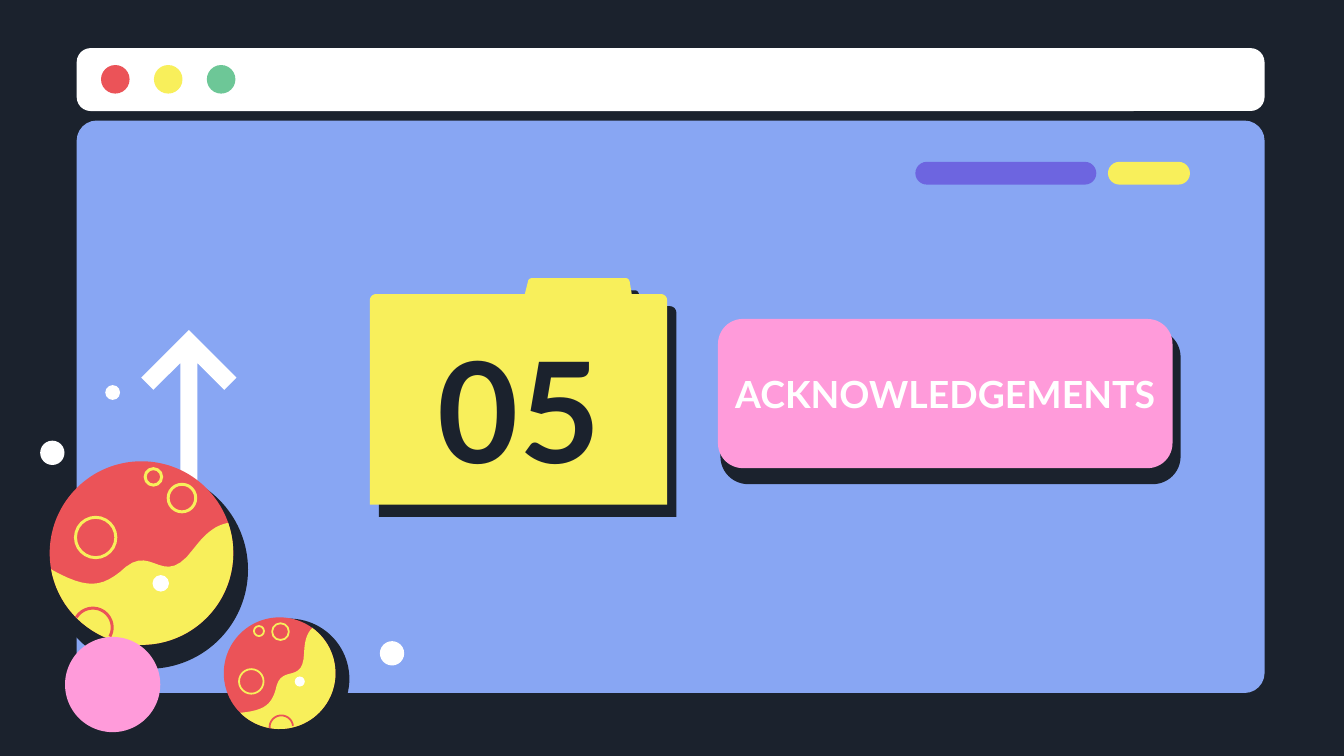
from dataclasses import dataclass
from math import cos, radians, sin

from lxml.etree import SubElement
from pptx import Presentation
from pptx.dml.color import RGBColor
from pptx.enum.shapes import MSO_SHAPE
from pptx.enum.text import MSO_ANCHOR, PP_ALIGN
from pptx.oxml.ns import qn
from pptx.util import Cm, Pt


@dataclass(frozen=True)
class Theme:
    dark: str = "1B222D"
    white: str = "FFFFFF"
    blue: str = "88A6F3"
    red: str = "EB5358"
    yellow: str = "F8EF5B"
    green: str = "6DC797"
    purple: str = "6D65E0"
    pink: str = "FF9BDA"
    font: str = "Lato"
    number: int = 75
    title: int = 20


@dataclass(frozen=True)
class Box:
    """A region in centimetres."""
    x: float
    y: float
    w: float
    h: float

    def inner(self, x, y, w, h):
        return Box(self.x + x, self.y + y, w, h)

    def emu(self):
        return [Cm(v) for v in (self.x, self.y, self.w, self.h)]


THEME = Theme()


def paint(shape, fill=None, line=None, width=1):
    shape.shadow.inherit = False
    if fill:
        shape.fill.solid()
        shape.fill.fore_color.rgb = RGBColor.from_string(fill)
    else:
        shape.fill.background()
    if line:
        shape.line.color.rgb = RGBColor.from_string(line)
        shape.line.width = Pt(width)
    else:
        shape.line.fill.background()
    return shape


def block(slide, box, fill, bend, **style):
    shape = slide.shapes.add_shape(MSO_SHAPE.ROUNDED_RECTANGLE, *box.emu())
    shape.adjustments[0] = bend
    return paint(shape, fill, **style)


def disc(slide, x, y, r, fill=None, **style):
    """Circle around the centre x, y."""
    box = Box(x - r, y - r, 2 * r, 2 * r)
    return paint(slide.shapes.add_shape(MSO_SHAPE.OVAL, *box.emu()), fill, **style)


def outline(slide, points, close=True, **style):
    spots = [(Cm(x), Cm(y)) for x, y in points]
    pen = slide.shapes.build_freeform(*spots[0])
    pen.add_line_segments(spots[1:], close=close)
    return paint(pen.convert_to_shape(), **style)


def trace(steps, count=12):
    """Turn points (x, y) and Bezier steps (six numbers) into plain points."""
    points = []
    for step in steps:
        if len(step) == 2:
            points.append(step)
            continue
        knots = [points[-1], step[:2], step[2:4], step[4:]]
        for i in range(1, count + 1):
            t = i / count
            mix = ((1 - t) ** 3, 3 * t * (1 - t) ** 2, 3 * t * t * (1 - t), t ** 3)
            points.append(tuple(sum(m * k[a] for m, k in zip(mix, knots)) for a in (0, 1)))
    return points


def arc(x, y, r, start, stop, count=48):
    turns = [radians(start + (stop - start) * i / count) for i in range(count + 1)]
    return [(x + r * cos(t), y + r * sin(t)) for t in turns]


def write(slide, box, text, size, color, bold=True, align=PP_ALIGN.CENTER):
    frame = slide.shapes.add_textbox(*box.emu()).text_frame
    frame.word_wrap = True
    frame.vertical_anchor = MSO_ANCHOR.MIDDLE
    frame.margin_left = frame.margin_right = Cm(0.25)
    frame.margin_top = frame.margin_bottom = Cm(0.25)
    para = frame.paragraphs[0]
    para.alignment = align
    run = para.add_run()
    run.text = text
    run.font.name, run.font.size, run.font.bold = THEME.font, Pt(size), bold
    run.font.color.rgb = RGBColor.from_string(color)


def window(slide, box):
    block(slide, box.inner(0, 1.37, box.w, box.h - 1.37), THEME.blue, 0.035)
    block(slide, box.inner(0, 0, box.w, 1.19), THEME.white, 0.223)
    for i, color in enumerate((THEME.red, THEME.yellow, THEME.green)):
        disc(slide, box.x + 0.73 + i, box.y + 0.59, 0.27, color)
    block(slide, box.inner(15.85, 2.15, 3.42, 0.43), THEME.purple, 0.5)
    block(slide, box.inner(19.49, 2.15, 1.55, 0.43), THEME.yellow, 0.5)


def arrow(slide, box):
    """Upward arrow whose head is as wide as the box."""
    half, stem, edge = box.w / 2, 0.16, 0.23
    side = [(half, half), (half - edge, half + edge), (stem, stem + 2 * edge), (stem, box.h)]
    shape = [(0, 0), *side, *[(-x, y) for x, y in reversed(side)]]
    mid = box.x + half
    outline(slide, [(mid + x, box.y + y) for x, y in shape], fill=THEME.white)


def card(slide, box, text):
    block(slide, box.inner(0.1, 0.25, box.w, box.h), THEME.dark, 0.167,
          line=THEME.dark, width=3)
    block(slide, box, THEME.pink, 0.167)
    write(slide, box.inner(0, 0.24, box.w, box.h - 0.48), text, THEME.title, THEME.white)


def folder(slide, box, text):
    w, h, top = box.w, box.h, 0.3
    steps = [
        (w, 0.42), (w, h), (0, h), (0, 0.42), (0, 0.36, 0.05, top, 0.12, top),
        (2.93, top), (2.99, 0.06), (2.99, 0.03, 3.02, 0, 3.06, 0),
        (4.84, 0), (4.88, 0, 4.9, 0.03, 4.91, 0.06), (4.95, top),
        (w - 0.12, top), (w - 0.05, top, w, 0.36, w, 0.42),
    ]
    points = [(box.x + x, box.y + y) for x, y in trace(steps)]
    shape = outline(slide, points, fill=THEME.yellow)
    effects = shape.element.spPr.find(qn("a:effectLst"))
    shade = SubElement(effects, qn("a:outerShdw"), blurRad="0", dist=str(int(Pt(8.2))),
                       dir=str(53 * 60000), algn="bl", rotWithShape="0")
    SubElement(shade, qn("a:srgbClr"), val=THEME.dark)
    write(slide, box.inner(0.66, 1.18, 4.32, 2.51), text, THEME.number, THEME.dark)


def planet(slide, box, turn=0):
    """Two-tone planet filling the box, its surface turned by some degrees."""
    r = box.w / 2
    c, s = cos(radians(turn)), sin(radians(turn))
    width = 0.92 * r

    def place(x, y):
        return box.x + r + r * (x * c - y * s), box.y + r + r * (x * s + y * c)

    disc(slide, *place(0.08, 0.18), 1.08 * r, THEME.dark)
    disc(slide, *place(0, 0), r, THEME.red)
    for x, y, size in ((0.44, -0.6, 0.15), (-0.5, -0.17, 0.22), (0.13, -0.83, 0.09)):
        disc(slide, *place(x, y), size * r, line=THEME.yellow, width=width)
    wave = trace([
        (0.95, -0.33), (0.84, -0.31, 0.73, -0.26, 0.57, -0.05),
        (0.24, 0.4, 0.13, -0.09, -0.17, 0.15), (-0.43, 0.39, -0.6, 0.39, -0.98, 0.18),
    ])
    land = wave + arc(0, 0, 1, 170, -19)
    outline(slide, [place(*p) for p in land], fill=THEME.yellow)
    rim = arc(-0.53, 0.81, 0.21, 211, 388)
    outline(slide, [place(*p) for p in rim], close=False, line=THEME.red, width=width)
    disc(slide, *place(0.21, 0.33), 0.09 * r, THEME.white)


def main():
    deck = Presentation()
    deck.slide_width, deck.slide_height = Cm(25.4), Cm(14.29)
    slide = deck.slides.add_slide(deck.slide_layouts[6])
    slide.background.fill.solid()
    slide.background.fill.fore_color.rgb = RGBColor.from_string(THEME.dark)

    window(slide, Box(1.45, 0.91, 22.45, 12.19))
    arrow(slide, Box(2.67, 6.24, 1.8, 4.66))
    card(slide, Box(13.57, 6.03, 8.59, 2.82), "ACKNOWLEDGEMENTS")
    folder(slide, Box(6.99, 5.26, 5.62, 4.28), "05")
    planet(slide, Box(0.94, 8.72, 3.47, 3.47))
    disc(slide, 2.13, 12.94, 0.9, THEME.pink)
    planet(slide, Box(4.23, 11.67, 2.11, 2.11), turn=-35)
    for x, y, r in ((0.99, 8.56, 0.23), (7.41, 12.35, 0.23), (2.13, 7.42, 0.14)):
        disc(slide, x, y, r, THEME.white)
    deck.save("out.pptx")


if __name__ == "__main__":
    main()
